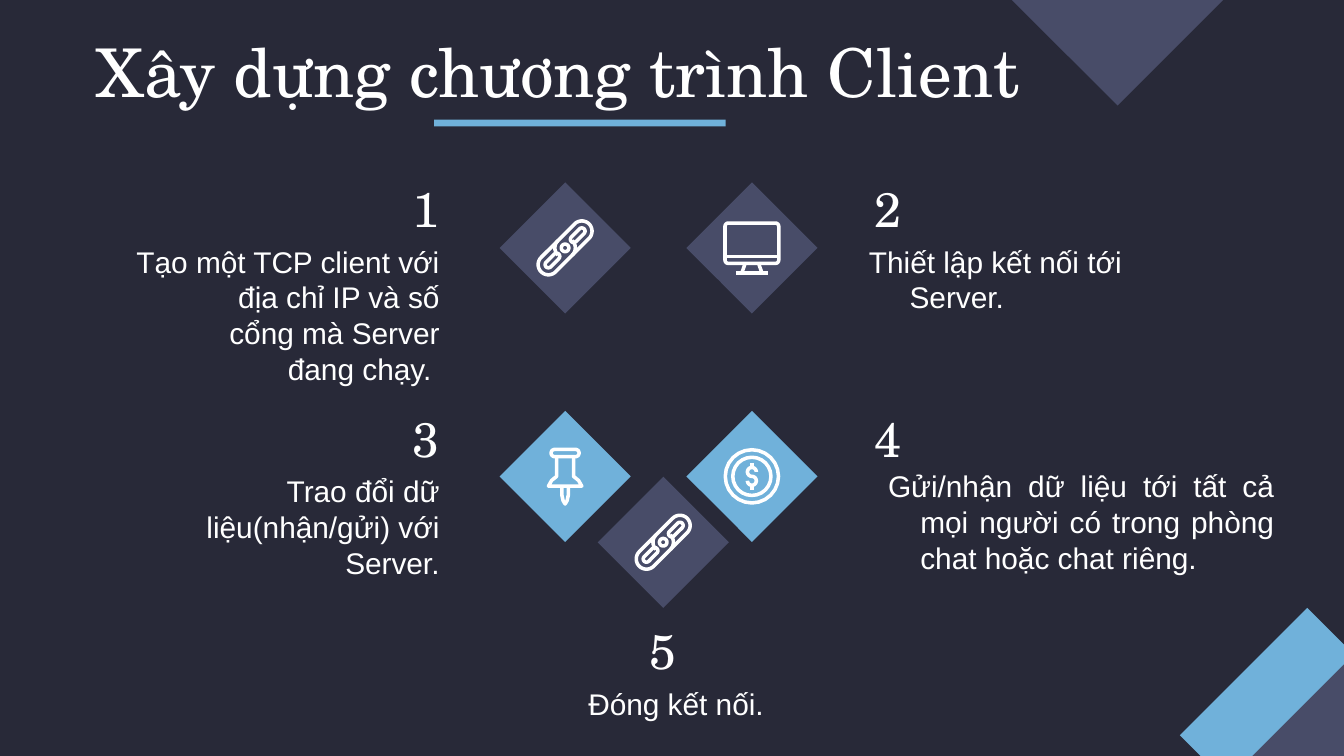
from math import cos, sin, radians
from pptx import Presentation
from pptx.dml.color import RGBColor
from pptx.enum.shapes import MSO_SHAPE
from pptx.enum.text import MSO_ANCHOR, MSO_AUTO_SIZE, PP_ALIGN
from pptx.util import Inches, Pt

SERIF, SANS = "TeX Gyre Schola", "Arial"
NAVY, SLATE, BLUE, WHITE = "282938", "484C68", "70B1DA", "FFFFFF"
LEFT, CENTER, RIGHT, JUSTIFY = PP_ALIGN.LEFT, PP_ALIGN.CENTER, PP_ALIGN.RIGHT, PP_ALIGN.JUSTIFY
SIDE, UNIT = 0.69, Inches(0.01)

TITLE = "Xây dựng chương trình Client"
DECOR = [  # left, top, width, height, rotation, colour
    (7.07, -2.22, 2.49, 2.49, 45, SLATE),
    (9.41, 4.95, 0.93, 1.34, 45, SLATE),
    (9.18, 4.5, 0.49, 1.34, 45, BLUE),
    (3.23, 0.89, 2.17, 0.05, 0, BLUE),
]
STEPS = [
    dict(number="1", text="Tạo một TCP client với địa chỉ IP và số cổng mà Server đang chạy. ",
         diamond=(3.86, 1.5), color=SLATE, icon="chain",
         head=(0.67, 1.23), body=(0.67, 1.71, 2.7), align=(RIGHT, RIGHT)),
    dict(number="2", text=" Thiết lập kết nối tới Server.",
         diamond=(5.25, 1.5), color=SLATE, icon="monitor",
         head=(6.41, 1.23), body=(6.17, 1.71, 2.7), align=(LEFT, LEFT)),
    dict(number="3", text=" Trao đổi dữ liệu(nhận/gửi) với Server.",
         diamond=(3.86, 3.2), color=BLUE, icon="pin",
         head=(0.67, 2.94), body=(0.67, 3.42, 2.7), align=(RIGHT, RIGHT)),
    dict(number="4", text=" Gửi/nhận dữ liệu tới tất cả mọi người có trong phòng chat hoặc chat riêng.",
         diamond=(5.25, 3.2), color=BLUE, icon="coin",
         head=(6.41, 2.94), body=(6.25, 3.38, 3.33), align=(LEFT, JUSTIFY)),
    dict(number="5", text=" Đóng kết nối.",
         diamond=(4.59, 3.69), color=SLATE, icon="chain",
         head=(3.58, 4.52), body=(3.58, 5, 2.7), align=(CENTER, CENTER)),
]


def rgb(color):
    """Turn a hex string into a colour."""
    return RGBColor.from_string(color)


def arc(x, y, r, start, end, steps=24):
    """Return points along a circular arc, angles in degrees."""
    angles = [radians(start + (end - start) * i / steps) for i in range(steps + 1)]
    return [(x + r * cos(a), y + r * sin(a)) for a in angles]


def capsule(x1, x2, y, r):
    """Return a closed horizontal capsule."""
    pts = arc(x2, y, r, -90, 90) + arc(x1, y, r, 90, 270)
    return pts + pts[:1]


def tilt(strokes):
    """Turn strokes to point to the upper right."""
    k = cos(radians(45))
    return [[((x + y) * k, (y - x) * k) for x, y in pts] for pts in strokes]


ICONS = {
    "chain": tilt([capsule(-17.6, 17.6, 0, 7.6), capsule(9, 17.6, 0, 2.4),
                   capsule(-17.6, -9, 0, 2.4), arc(0, 0, 2.8, 0, 360),
                   arc(0, 0, 7.6, 0, 90), arc(0, 0, 7.6, 180, 270)]),
    "monitor": [arc(17.5, -16, 2.5, -90, 0) + arc(17.5, 9, 2.5, 0, 90)
                + arc(-17.5, 9, 2.5, 90, 180) + arc(-17.5, -16, 2.5, 180, 270) + [(17.5, -18.5)],
                [(-20, 6.5), (20, 6.5)], [(-12, 18.7), (12, 18.7)],
                [(-5, 11.5), (-7.5, 18.7)], [(5, 11.5), (7.5, 18.7)]],
    "pin": [capsule(-7.7, 7.7, -17.4, 2.7),
            [(-6.3, -14.7), (-6.3, 0), (-10, 3), (-12.4, 7.2),
             (12.4, 7.2), (10, 3), (6.3, 0), (6.3, -14.7)],
            [(-2.4, 7.2), (-2.4, 14), (-1.5, 18), (0, 20.5), (1.5, 18), (2.4, 14), (2.4, 7.2)]],
    "coin": [arc(0, 0, 19.8, 0, 360), arc(0, 0, 14.2, 0, 360),
             arc(0, -3.3, 3.3, 0, -270) + arc(0, 3.3, 3.3, -90, 180),
             [(0, -10), (0, -6.6)], [(0, 6.6), (0, 10)]],
}


def add_rect(s, x, y, w, h, rotation, color):
    """Add a plain filled rectangle."""
    sp = s.shapes.add_shape(MSO_SHAPE.RECTANGLE, *map(Inches, (x, y, w, h)))
    sp.rotation = rotation
    sp.shadow.inherit = False
    sp.fill.solid()
    sp.fill.fore_color.rgb = rgb(color)
    sp.line.fill.background()


def add_icon(s, x, y, strokes):
    """Draw white strokes around a centre given in inches."""
    placed = [[(Inches(x) + px * UNIT, Inches(y) + py * UNIT) for px, py in pts] for pts in strokes]
    builder = s.shapes.build_freeform(*placed[0][0], scale=1.0)
    for i, pts in enumerate(placed):
        if i:
            builder.move_to(*pts[0])
        builder.add_line_segments(pts[1:], close=False)
    sp = builder.convert_to_shape()
    sp.shadow.inherit = False
    sp.fill.background()
    sp.line.color.rgb = rgb(WHITE)
    sp.line.width = Pt(1.9)


def write(sp, text, font, size, align, anchor=MSO_ANCHOR.TOP):
    """Fill a text shape with one formatted paragraph."""
    tf = sp.text_frame
    margins = {f"margin_{side}": Inches(0.1) for side in ("left", "top", "right", "bottom")}
    frame = dict(margins, word_wrap=True, auto_size=MSO_AUTO_SIZE.NONE, vertical_anchor=anchor)
    for name, value in frame.items():
        setattr(tf, name, value)
    p = tf.paragraphs[0]
    p.alignment = align
    r = p.add_run()
    r.text = text
    for name, value in dict(name=font, size=Pt(size), bold=False).items():
        setattr(r.font, name, value)
    r.font.color.rgb = rgb(WHITE)
    return p


def add_step(s, step):
    """Add the diamond, icon, number and text of one step."""
    x, y = step["diamond"]
    add_rect(s, x, y, SIDE, SIDE, 45, step["color"])
    add_icon(s, x + SIDE / 2, y + SIDE / 2, ICONS[step["icon"]])
    head_align, body_align = step["align"]
    head = s.shapes.add_textbox(*map(Inches, (*step["head"], 2.7, 0.56)))
    write(head, step["number"], SERIF, 26, head_align)
    body = s.shapes.add_textbox(*map(Inches, (*step["body"], 0.73)))
    p = write(body, step["text"], SANS, 16, body_align)
    pPr = p._p.get_or_add_pPr()
    pPr.set("marL", str(Inches(0.5)))
    pPr.set("indent", str(Inches(-0.36)))


def main():
    """Build and save the slide."""
    prs = Presentation()
    prs.slide_width = Inches(10)
    prs.slide_height = prs.slide_width * 9 // 16
    s = prs.slides.add_slide(prs.slide_layouts[5])
    s.background.fill.solid()
    s.background.fill.fore_color.rgb = rgb(NAVY)
    title = s.shapes.title
    title.left, title.top, title.width, title.height = map(Inches, (0.5, 0.23, 7.3, 0.59))
    write(title, TITLE, SERIF, 36, CENTER, MSO_ANCHOR.MIDDLE)
    for decor in DECOR:
        add_rect(s, *decor)
    for step in STEPS:
        add_step(s, step)
    prs.save("out.pptx")


if __name__ == "__main__":
    main()
